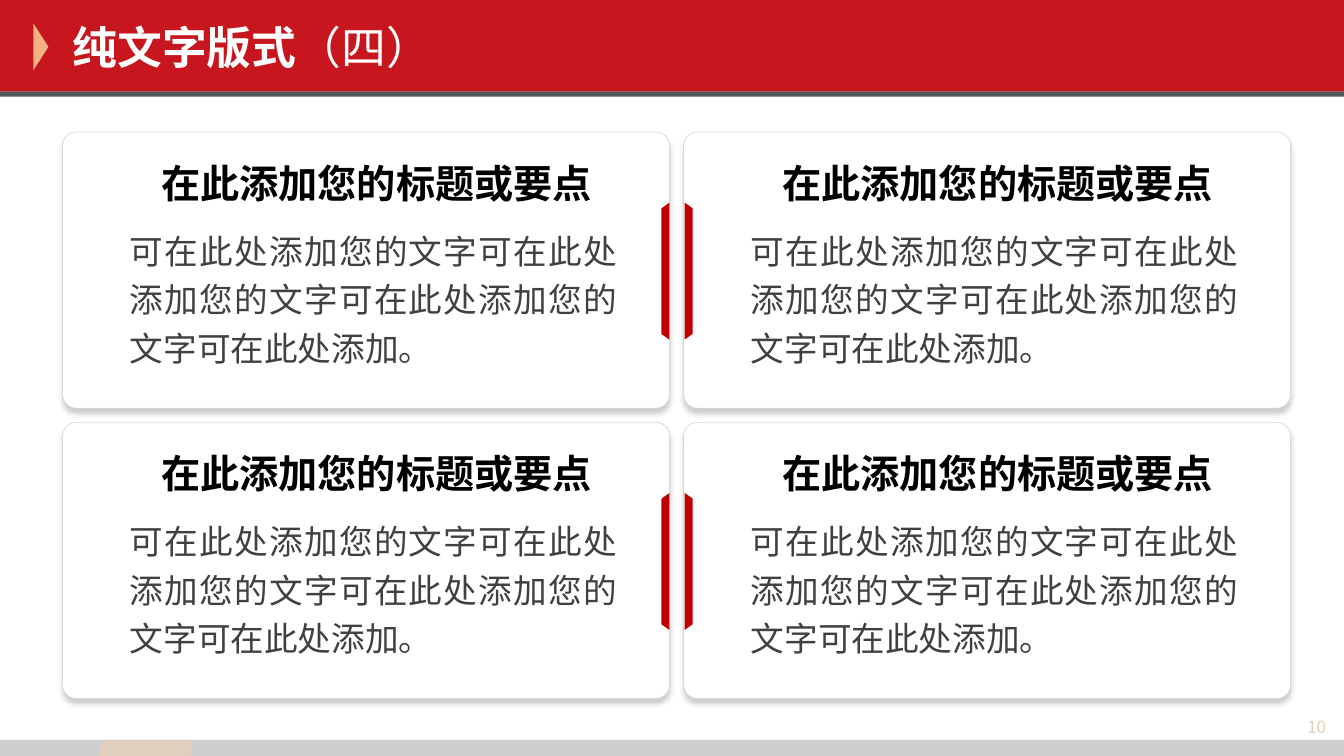
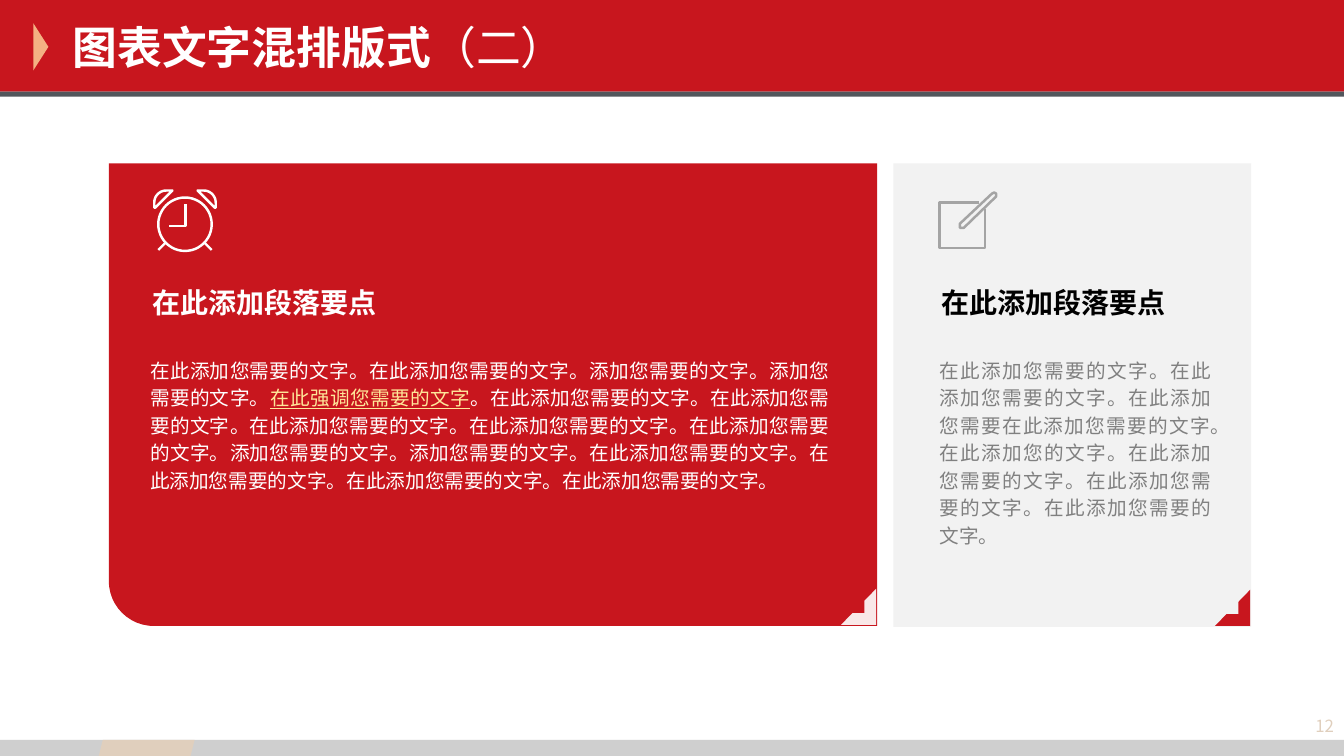
import math

import pptx
import pptx.dml.color
import pptx.enum.shapes
import pptx.enum.text
import pptx.oxml.ns
import pptx.util
from lxml import etree

Inches = pptx.util.Inches
Pt = pptx.util.Pt
RGBColor = pptx.dml.color.RGBColor
SHAPE = pptx.enum.shapes.MSO_SHAPE
STRAIGHT = pptx.enum.shapes.MSO_CONNECTOR.STRAIGHT
ALIGN = pptx.enum.text.PP_ALIGN
MIDDLE = pptx.enum.text.MSO_ANCHOR.MIDDLE
GROW = pptx.enum.text.MSO_AUTO_SIZE.SHAPE_TO_FIT_TEXT
qn = pptx.oxml.ns.qn

RED = RGBColor(0xC8, 0x16, 0x1E)
DARK_RED = RGBColor(0xC0, 0x00, 0x00)
ORANGE = RGBColor(0xF4, 0xB1, 0x83)
SAND = RGBColor(0xE0, 0xCF, 0xBD)
YELLOW = RGBColor(0xFF, 0xE6, 0x99)
SLATE = RGBColor(0x52, 0x57, 0x5C)
BLACK = RGBColor(0x00, 0x00, 0x00)
CHARCOAL = RGBColor(0x40, 0x40, 0x40)
GREY = RGBColor(0x80, 0x80, 0x80)
ICON_GREY = RGBColor(0xA4, 0xA4, 0xA4)
BAR_GREY = RGBColor(0xBF, 0xBF, 0xBF)
BORDER = RGBColor(0xD9, 0xD9, 0xD9)
PALE = RGBColor(0xF2, 0xF2, 0xF2)
WHITE = RGBColor(0xFF, 0xFF, 0xFF)

FONT = "Noto Sans CJK SC"
WIDTH, HEIGHT = 13.33, 7.5
ICON_LINE = Pt(1.75)

TITLE = {"size": Pt(32), "bold": True, "color": WHITE}
CARD_HEADING = {"size": Pt(28), "bold": True, "color": BLACK}
CARD_BODY = {"size": Pt(24), "color": CHARCOAL}
PANEL_HEADING = {"size": Pt(20), "bold": True}
PANEL_BODY = {"size": Pt(14)}
NUMBER = {"size": Pt(12), "color": SAND}

CARD_TITLE = "在此添加您的标题或要点"
CARD_TEXT = "可在此处添加您的文字可在此处添加您的文字可在此处添加您的文字可在此处添加。"
PANEL_TITLE = "在此添加段落要点"
LEFT_RUNS = [
    ("在此添加您需要的文字。在此添加您需要的文字。添加您需要的文字。添加您需要的文字。", {}),
    ("在此强调您需要的文字", {"color": YELLOW, "underline": True}),
    ("。在此添加您需要的文字。在此添加您需要的文字。在此添加您需要的文字。"
     "在此添加您需要的文字。在此添加您需要的文字。添加您需要的文字。添加您需要的文字。"
     "在此添加您需要的文字。在此添加您需要的文字。在此添加您需要的文字。在此添加您需要的文字。", {}),
]
RIGHT_RUNS = [
    ("在此添加您需要的文字。在此添加您需要的文字。在此添加您需要在此添加您需要的文字。"
     "在此添加您的文字。在此添加您需要的文字。在此添加您需要的文字。在此添加您需要的文字。", {}),
]


def set_values(target, values):
    """Set each named attribute of the target."""
    for name, value in values.items():
        setattr(target, name, value)


def add_block(page, kind, box, fill, turn=0, adjust=(), alpha=None):
    """Add a filled preset shape that covers the box after being turned."""
    left, top, width, height = box
    if turn in (90, 270):
        left, top = left + (width - height) / 2, top + (height - width) / 2
        width, height = height, width
    block = page.shapes.add_shape(kind, *map(Inches, (left, top, width, height)))
    block.rotation = turn
    for index, value in enumerate(adjust):
        block.adjustments[index] = value
    block.fill.solid()
    block.fill.fore_color.rgb = fill
    if alpha is not None:
        color = block.fill._xPr.find(".//" + qn("a:srgbClr"))
        etree.SubElement(color, qn("a:alpha"), val=str(alpha * 1000))
    block.line.fill.background()
    block.shadow.inherit = False
    return block


def add_text(page, box, runs, style, frame_values=None, paragraph_values=None):
    """Add a wrapped text box holding one paragraph of styled runs."""
    frame = page.shapes.add_textbox(*map(Inches, box)).text_frame
    set_values(frame, {"word_wrap": True, **(frame_values or {})})
    para = frame.paragraphs[0]
    set_values(para, paragraph_values or {})
    for text, changes in runs:
        span = para.add_run()
        span.text = text
        values = {"name": FONT, **style, **changes}
        span.font.color.rgb = values.pop("color")
        set_values(span.font, values)
        etree.SubElement(span.font._element, qn("a:ea"), typeface=FONT)


def add_outline(page, origin, points, color, closed=False):
    """Draw an unfilled outline through points measured from the origin."""
    steps = [(round(x * 1000), round(y * 1000)) for x, y in points]
    builder = page.shapes.build_freeform(*steps[0], scale=Inches(1) / 1000)
    builder.add_line_segments(steps[1:], close=closed)
    outline = builder.convert_to_shape(*map(Inches, origin))
    outline.fill.background()
    outline.shadow.inherit = False
    outline.line.color.rgb = color
    outline.line.width = ICON_LINE


def add_clock(page, origin, color):
    """Draw the alarm clock icon."""
    left, top = origin
    ring = add_block(page, SHAPE.OVAL, (left + 0.09, top + 0.08, 0.53, 0.53), color)
    ring.fill.background()
    ring.line.color.rgb = color
    ring.line.width = ICON_LINE
    add_outline(page, origin, [(0.2, 0.36), (0.36, 0.36), (0.36, 0.14)], color)
    angles = [math.radians(degrees) for degrees in range(90, 181, 10)]
    curve = [(0.17 + 0.12 * math.cos(a), 0.13 - 0.12 * math.sin(a)) for a in angles]
    bell = [(0.23, 0.01), *curve, (0.05, 0.18), (0.06, 0.18)]
    leg = [(0.16, 0.53), (0.09, 0.6)]
    for mirrored in (False, True):
        def place(points):
            """Mirror the points across the clock's axis on its right side."""
            return [(0.71 - x if mirrored else x, y) for x, y in points]

        add_outline(page, origin, place(bell), color, closed=True)
        ends = [Inches(v) for x, y in place(leg) for v in (left + x, top + y)]
        line = page.shapes.add_connector(STRAIGHT, *ends)
        line.line.color.rgb = color
        line.line.width = ICON_LINE
        etree.SubElement(line._element.spPr, qn("a:effectLst"))


def add_pencil(page, origin, color):
    """Draw the sheet and pencil icon."""
    sheet = [(0.4, 0.13), (0.01, 0.13), (0.01, 0.58), (0.46, 0.58), (0.46, 0.19)]
    pencil = [(0.53, 0.04), (0.21, 0.34), (0.21, 0.38), (0.25, 0.38),
              (0.57, 0.07), (0.57, 0.04), (0.55, 0.03)]
    add_outline(page, origin, sheet, color)
    add_outline(page, origin, pencil, color, closed=True)


def add_page(deck, title, suffix, number, number_box):
    """Add a page with the shared bands, title and page number."""
    page = deck.slides.add_slide(deck.slide_layouts[6])
    add_block(page, SHAPE.RECTANGLE, (0, 0, WIDTH, 0.91), RED)
    add_block(page, SHAPE.ISOSCELES_TRIANGLE, (0.33, 0.23, 0.15, 0.47), ORANGE, turn=90)
    add_block(page, SHAPE.RECTANGLE, (0, 0.91, WIDTH, 0.05), SLATE)
    add_block(page, SHAPE.RECTANGLE, (0, 7.34, WIDTH, 0.16), BAR_GREY, alpha=75)
    add_block(page, SHAPE.PARALLELOGRAM, (0.98, 7.34, 0.95, 0.16), SAND)
    add_text(page, (0.62, 0.14, 10.69, 0.65), [(title, {}), (suffix, {"bold": False})],
             TITLE, {"vertical_anchor": MIDDLE})
    add_text(page, number_box, [(number, {})], NUMBER,
             {"vertical_anchor": MIDDLE}, {"alignment": ALIGN.RIGHT})
    return page


def add_card(page, box, tab_on_right):
    """Add a shadowed card with heading, body and a red side tab."""
    left, top, width, height = box
    card = add_block(page, SHAPE.ROUNDED_RECTANGLE, box, WHITE, adjust=[0.05])
    card.line.color.rgb = BORDER
    card.line.width = Pt(0.5)
    effects = card._element.spPr.find(qn("a:effectLst"))
    shadow = etree.SubElement(effects, qn("a:outerShdw"), blurRad=str(Pt(4)),
                              dist=str(Pt(3)), dir="5400000", algn="t", rotWithShape="0")
    color = etree.SubElement(shadow, qn("a:srgbClr"), val=str(BLACK))
    etree.SubElement(color, qn("a:alpha"), val="20000")
    add_text(page, (left + 0.57, top + 0.85, 5.03, 1.51), [(CARD_TEXT, {})], CARD_BODY,
             {"auto_size": GROW}, {"alignment": ALIGN.JUSTIFY, "line_spacing": 1.2})
    add_text(page, (left + 0.44, top + 0.11, 5.35, 0.65), [(CARD_TITLE, {})], CARD_HEADING,
             {"auto_size": GROW, "vertical_anchor": MIDDLE},
             {"alignment": ALIGN.CENTER, "line_spacing": 1.3})
    tab_left, turn = (left + width - 0.08, 270) if tab_on_right else (left + 0.01, 90)
    add_block(page, SHAPE.TRAPEZOID, (tab_left, top + 0.7, 0.08, 1.36), DARK_RED,
              turn=turn, adjust=[0.713])


def add_panel(page, box, inset, body_width, runs, colors, icon):
    """Fill a panel with its icon, heading, body and corner mark."""
    left, top, width, height = box
    heading_color, body_color, icon_color = colors
    icon(page, (left + inset + 0.09, top + 0.26), icon_color)
    add_text(page, (left + inset + 0.02, top + 1.22, 2.89, 0.35), [(PANEL_TITLE, {})],
             {**PANEL_HEADING, "color": heading_color},
             {"vertical_anchor": MIDDLE}, {"line_spacing": 0.96})
    add_text(page, (left + inset, top + 1.85, body_width, 0.89), runs,
             {**PANEL_BODY, "color": body_color}, None,
             {"alignment": ALIGN.JUSTIFY, "line_spacing": 1.17})


def add_corner(page, box, color, alpha=None):
    """Mark the bottom right corner of the box."""
    left, top, width, height = box
    add_block(page, SHAPE.HALF_FRAME,
              (left + width - 0.36, top + height - 0.37, 0.35, 0.36),
              color, turn=180, alpha=alpha)


def build_card_page(deck):
    """Build the page with a two by two grid of cards."""
    page = add_page(deck, "纯文字版式", "（四）", "10", (12.12, 7.02, 1.13, 0.38))
    for row in range(2):
        for column in range(2):
            box = (0.62 + 6.16 * column, 1.31 + 2.88 * row, 6.02, 2.74)
            add_card(page, box, tab_on_right=column == 0)


def build_panel_page(deck):
    """Build the page with a wide red panel and a narrow pale panel."""
    page = add_page(deck, "图表文字混排版式", "（二）", "12", (12.2, 7.01, 1.13, 0.38))
    wide = (1.08, 1.62, 7.62, 4.59)
    narrow = (8.86, 1.62, 3.55, 4.6)
    add_block(page, SHAPE.SNIP_ROUND_RECTANGLE, wide, RED, turn=270, adjust=[0.097, 0])
    add_block(page, SHAPE.RECTANGLE, narrow, PALE)
    add_panel(page, wide, 0.31, 6.94, LEFT_RUNS, (WHITE, WHITE, WHITE), add_clock)
    add_panel(page, narrow, 0.36, 2.89, RIGHT_RUNS, (BLACK, GREY, ICON_GREY), add_pencil)
    add_corner(page, narrow, RED)
    add_corner(page, wide, WHITE, alpha=90)


def main():
    """Build and save the deck."""
    deck = pptx.Presentation()
    deck.slide_width = Inches(WIDTH)
    deck.slide_height = Inches(HEIGHT)
    build_card_page(deck)
    build_panel_page(deck)
    deck.save("out.pptx")


if __name__ == "__main__":
    main()
